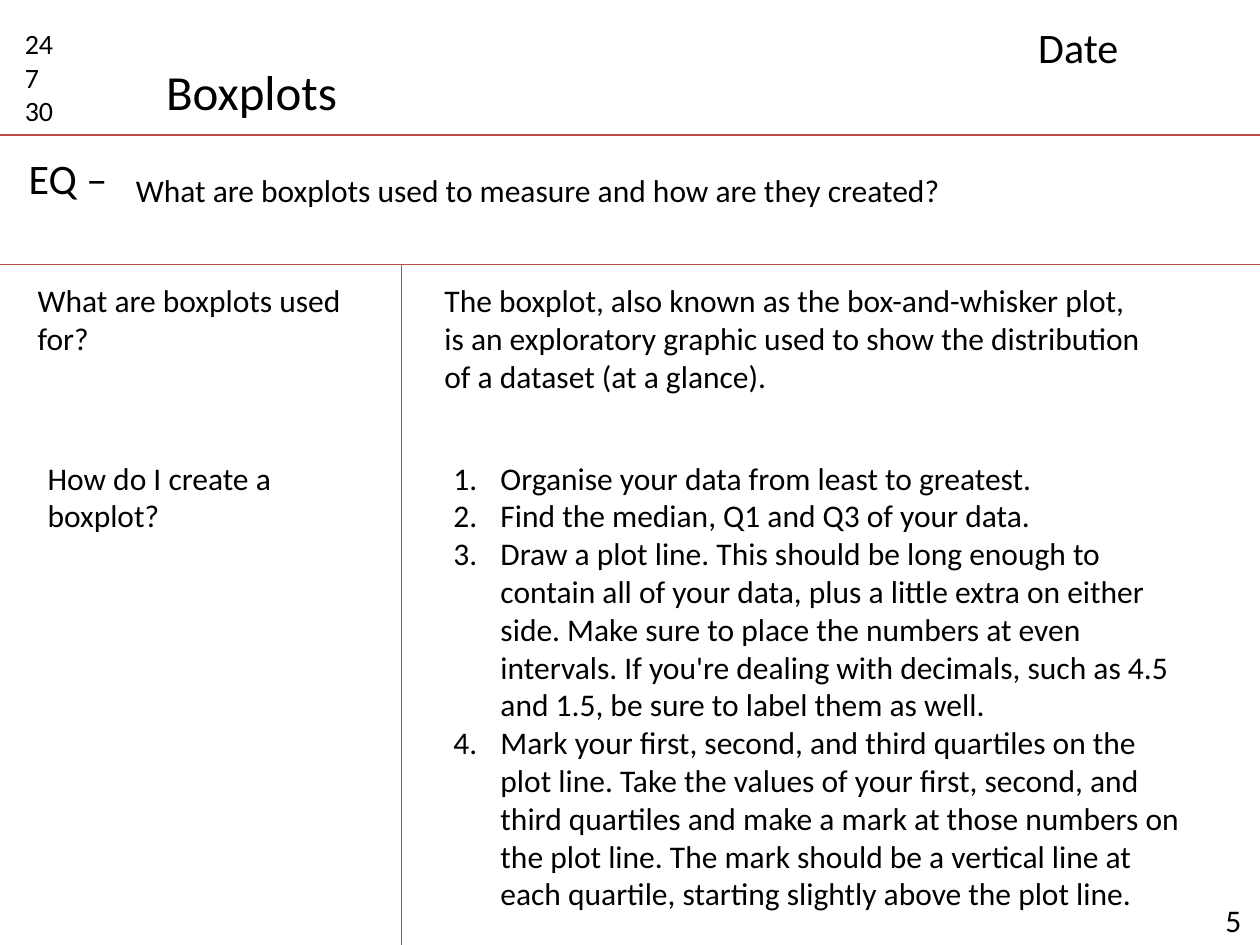
"""Build the Boxplots notes slide with its headings, questions and answers."""
from dataclasses import dataclass

from lxml import etree
from pptx import Presentation
from pptx import util as u
from pptx.dml.color import RGBColor
from pptx.enum import shapes, text
from pptx.oxml.ns import qn

BLACK = RGBColor(0x00, 0x00, 0x00)
RED = RGBColor(0xBF, 0x4C, 0x48)
FONT = "Calibri"
INDENT = u.Cm(0.95)


@dataclass
class Note:
    left: float
    top: float
    width: float
    height: float
    lines: list[str]
    size: int = 18
    wrap: bool = True
    steps: bool = False


@dataclass
class Rule:
    x1: float
    y1: float
    x2: float
    y2: float


RULES = [
    Rule(0, 2.72, 25.4, 2.72),
    Rule(0, 5.33, 25.4, 5.33),
    Rule(8.1, 5.33, 8.1, 19.53),
]

STEPS = [
    "Organise your data from least to greatest.",
    "Find the median, Q1 and Q3 of your data.",
    "Draw a plot line. This should be long enough to contain all of your data, "
    "plus a little extra on either side. Make sure to place the numbers at even "
    "intervals. If you're dealing with decimals, such as 4.5 and 1.5, be sure to "
    "label them as well.",
    "Mark your first, second, and third quartiles on the plot line. Take the "
    "values of your first, second, and third quartiles and make a mark at those "
    "numbers on the plot line. The mark should be a vertical line at each "
    "quartile, starting slightly above the plot line.",
]

NOTES = [
    Note(24.31, 18.03, 1.52, 1.02, [" 5"]),
    Note(0.25, 0.41, 1.6, 2.31, ["24", "7", "30"], size=16),
    Note(3.1, 1.12, 3.99, 1.45, ["Boxplots"], size=28, wrap=False),
    Note(20.68, 0.3, 4.39, 1.27, ["Date"], size=24),
    Note(0.33, 2.95, 23.95, 1.27, ["EQ –"], size=24),
    Note(2.49, 3.33, 22.4, 1.02,
         ["What are boxplots used to measure and how are they created?"]),
    Note(0.51, 5.54, 6.81, 1.8, ["What are boxplots used for?"]),
    Note(8.71, 5.54, 14.6, 2.57,
         ["The boxplot, also known as the box-and-whisker plot, is an exploratory "
          "graphic used to show the distribution of a dataset (at a glance)."]),
    Note(0.71, 9.12, 6.4, 1.8, ["How do I create a boxplot?"]),
    Note(8.89, 9.12, 15.19, 9.5, STEPS, steps=True),
]


def number(para) -> None:
    """Turn a paragraph into a numbered step with a hanging indent."""
    props = para._p.get_or_add_pPr()
    props.set("marL", str(INDENT))
    props.set("indent", str(-INDENT))
    etree.SubElement(props, qn("a:buFont"), typeface="+mj-lt")
    etree.SubElement(props, qn("a:buAutoNum"), type="arabicPeriod")


def draw_rule(slide, rule: Rule) -> None:
    """Draw one ruled line of the page."""
    ends = map(u.Cm, (rule.x1, rule.y1, rule.x2, rule.y2))
    line = slide.shapes.add_connector(shapes.MSO_CONNECTOR.STRAIGHT, *ends)
    line.line.color.rgb = RED
    line.line.width = u.Pt(0.75)
    etree.SubElement(line._element.spPr, qn("a:effectLst"))


def draw_note(slide, note: Note) -> None:
    """Draw one text box, with numbered paragraphs for steps."""
    area = map(u.Cm, (note.left, note.top, note.width, note.height))
    frame = slide.shapes.add_textbox(*area).text_frame
    frame.word_wrap = note.wrap
    frame.auto_size = text.MSO_AUTO_SIZE.SHAPE_TO_FIT_TEXT
    frame.text = "\n".join(note.lines)
    for para in frame.paragraphs:
        if note.steps:
            number(para)
        para.font.name = FONT
        para.font.size = u.Pt(note.size)
        para.font.color.rgb = BLACK


def main() -> None:
    """Build the slide and save it."""
    deck = Presentation()
    deck.slide_width, deck.slide_height = u.Cm(25.4), u.Cm(19.05)
    slide = deck.slides.add_slide(deck.slide_layouts[6])
    for rule in RULES:
        draw_rule(slide, rule)
    for note in NOTES:
        draw_note(slide, note)
    deck.save("out.pptx")


if __name__ == "__main__":
    main()
